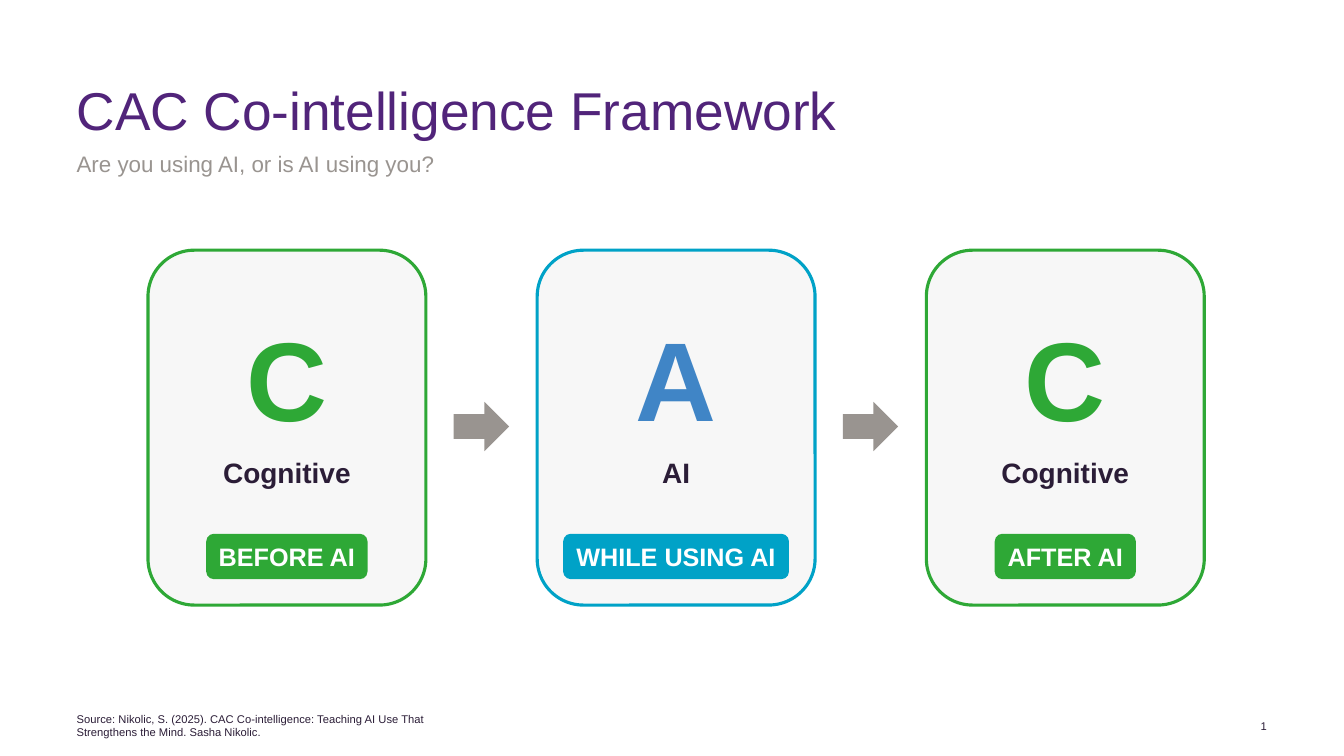
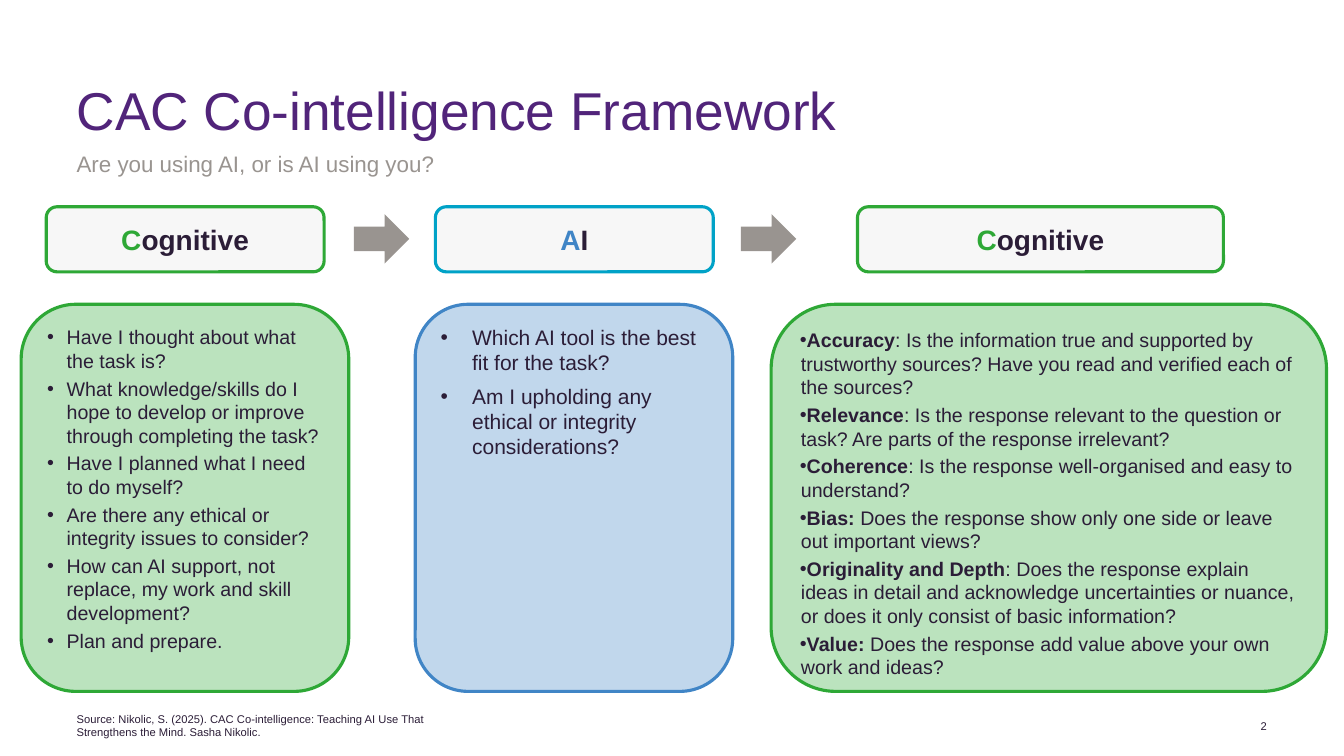
from lxml.etree import SubElement
from pptx import Presentation
from pptx.dml.color import RGBColor
from pptx.enum.shapes import MSO_SHAPE as SHAPE
from pptx.enum.text import MSO_ANCHOR as ANCHOR, MSO_AUTO_SIZE as FIT, PP_ALIGN as ALIGN
from pptx.oxml.ns import qn
from pptx.util import Pt

FONT = "Arial"
PURPLE, INK, GREY = "51247A", "2B1D37", "999490"
GREEN, TEAL, BLUE = "2EA836", "00A2C7", "4085C6"
PALE, WHITE = "F7F7F7", "FFFFFF"

TITLE = "CAC Co-intelligence Framework"
SUBTITLE = "Are you using AI, or is AI using you?"
SOURCE = ("Source: Nikolic, S. (2025). CAC Co-intelligence: Teaching AI Use That "
          "Strengthens the Mind. Sasha Nikolic.")


def rgb(value):
    return RGBColor.from_string(value)


def add_bullet(p, left, indent):
    pPr = p._p.get_or_add_pPr()
    pPr.set("marL", str(Pt(left)))
    pPr.set("indent", str(Pt(indent)))
    SubElement(pPr, qn("a:buFont")).set("typeface", FONT)
    SubElement(pPr, qn("a:buChar")).set("char", "•")


def write(tf, paragraphs, size=14, color=INK, bold=False, align=ALIGN.LEFT,
          anchor=ANCHOR.TOP, inset=None, before=0, after=0, spacing=None, bullet=None):
    """Each paragraph is a string or a list of (text, run format) pairs."""
    tf.auto_size, tf.word_wrap, tf.vertical_anchor = FIT.NONE, True, anchor
    if inset is not None:
        tf.margin_left = tf.margin_top = tf.margin_right = tf.margin_bottom = Pt(inset)
    if isinstance(paragraphs, str):
        paragraphs = [paragraphs]
    for i, runs in enumerate(paragraphs):
        p = tf.add_paragraph() if i else tf.paragraphs[0]
        p.alignment = align
        p.space_before, p.space_after = Pt(before), Pt(after)
        if spacing:
            p.line_spacing = spacing
        if bullet:
            add_bullet(p, *bullet)
        for text, style in [(runs, {})] if isinstance(runs, str) else runs:
            r = p.add_run()
            r.text = text
            r.font.name, r.font.size = FONT, Pt(size)
            r.font.bold = style.get("bold", bold)
            r.font.color.rgb = rgb(style.get("color", color))


class Deck:
    def __init__(self):
        self.prs = Presentation()
        self.prs.slide_width, self.prs.slide_height = Pt(960), Pt(540)
        self.shapes = None

    def slide(self):
        """Start a slide with the shared title, subtitle and footer."""
        s = self.prs.slides.add_slide(self.prs.slide_layouts[5])
        self.shapes = s.shapes
        title = s.shapes.title
        title.left, title.top, title.width, title.height = map(Pt, (54.7, 60.5, 754, 36.7))
        write(title.text_frame, TITLE, size=38, color=PURPLE, inset=0, spacing=0.9)
        self.text(54.7, 107.3, 754, 39.6, SUBTITLE, size=16, color=GREY, inset=0,
                  before=3, after=12)
        small = dict(size=8, inset=0, anchor=ANCHOR.MIDDLE)
        self.text(54.7, 514, 264, 8.6, SOURCE, **small)
        self.text(882.7, 514, 22.3, 8.6, str(len(self.prs.slides)), align=ALIGN.RIGHT, **small)

    def text(self, x, y, w, h, text, **style):
        box = self.shapes.add_textbox(Pt(x), Pt(y), Pt(w), Pt(h))
        write(box.text_frame, text, **style)

    def shape(self, kind, x, y, w, h, fill, line=None, alpha=None, text=None, **style):
        sp = self.shapes.add_shape(kind, Pt(x), Pt(y), Pt(w), Pt(h))
        sp.shadow.inherit = False
        sp.fill.solid()
        sp.fill.fore_color.rgb = rgb(fill)
        if alpha:
            clr = sp._element.spPr.find(qn("a:solidFill")).find(qn("a:srgbClr"))
            SubElement(clr, qn("a:alpha")).set("val", str(alpha * 1000))
        if line:
            sp.line.color.rgb = rgb(line)
            sp.line.width = Pt(2.25)
        else:
            sp.line.fill.background()
        if text:
            write(sp.text_frame, text, **style)

    def box(self, *place, **style):
        self.shape(SHAPE.ROUNDED_RECTANGLE, *place, **style)

    def arrow(self, x, y):
        self.shape(SHAPE.RIGHT_ARROW, x, y, 39.6, 35.3, fill=GREY)

    def card(self, x, letter, word, stage, stage_width, color, letter_color):
        """One grouped card: big letter, word and stage label."""
        top, width = 178.7, 198.5
        outer, self.shapes = self.shapes, self.shapes.add_group_shape().shapes
        centred = dict(bold=True, align=ALIGN.CENTER)
        self.box(x, top, width, 253.5, fill=PALE, line=color)
        self.text(x, top + 39, width, 104.4, letter, size=80, color=letter_color, **centred)
        self.text(x, top + 143, width, 31.7, word, size=20, **centred)
        self.box(x + (width - stage_width) / 2, top + 202.6, stage_width, 32.4, fill=color,
                 text=stage, size=18, color=WHITE, anchor=ANCHOR.MIDDLE, **centred)
        self.shapes = outer

    def header(self, x, w, word, color, letter_color):
        """Column heading whose first letter is coloured."""
        runs = [(word[0], {"color": letter_color}), (word[1:], {})]
        self.box(x, 147.7, w, 46.5, fill=PALE, line=color, text=[runs], size=20, bold=True,
                 align=ALIGN.CENTER, anchor=ANCHOR.MIDDLE)

    def questions(self, x, w, color, items, **style):
        self.box(x, 217.4, w, 276.5, fill=color, line=color, alpha=32, text=items, **style)


BEFORE = [
    "Have I thought about what the task is?",
    "What knowledge/skills do I hope to develop or improve through completing the task?",
    "Have I planned what I need to do myself?",
    "Are there any ethical or integrity issues to consider?",
    "How can AI support, not replace, my work and skill development?",
    "Plan and prepare.",
]
WHILE = [
    "Which AI tool is the best fit for the task?",
    "Am I upholding any ethical or integrity considerations?",
]
AFTER = [
    ("Accuracy", ": Is the information true and supported by trustworthy sources? "
                 "Have you read and verified each of the sources?"),
    ("Relevance", ": Is the response relevant to the question or task? "
                  "Are parts of the response irrelevant?"),
    ("Coherence", ": Is the response well-organised and easy to understand?"),
    ("Bias: ", "Does the response show only one side or leave out important views?"),
    ("Originality and Depth", ": Does the response explain ideas in detail and acknowledge "
                              "uncertainties or nuance, or does it only consist of "
                              "basic information?"),
    ("Value: ", "Does the response add value above your own work and ideas?"),
]


def main():
    deck = Deck()

    # Slide 1: three stages as cards
    deck.slide()
    pitch = 278
    cards = [
        ("C", "Cognitive", "BEFORE AI", 115.2, GREEN, GREEN),
        ("A", "AI", "WHILE USING AI", 161.3, TEAL, BLUE),
        ("C", "Cognitive", "AFTER AI", 100.8, GREEN, GREEN),
    ]
    for i, card in enumerate(cards):
        deck.card(105.7 + i * pitch, *card)
    for i in range(2):
        deck.arrow(324 + i * pitch, 287)

    # Slide 2: questions for each stage
    deck.slide()
    deck.header(33, 198.5, "Cognitive", GREEN, GREEN)
    deck.header(311, 198.5, "AI", TEAL, BLUE)
    deck.header(612.5, 261.4, "Cognitive", GREEN, GREEN)
    for x in (252.7, 529.2):
        deck.arrow(x, 153)
    after = [[(name, {"bold": True}), (question, {})] for name, question in AFTER]
    deck.questions(15.1, 234, GREEN, BEFORE, before=3, bullet=(14, -14))
    deck.questions(296.6, 226.8, BLUE, WHILE, size=15, after=6, bullet=(22.5, -22.5))
    deck.questions(550.8, 396.7, GREEN, after, before=3, bullet=(0.7, -8.6))

    deck.prs.save("out.pptx")


if __name__ == "__main__":
    main()
